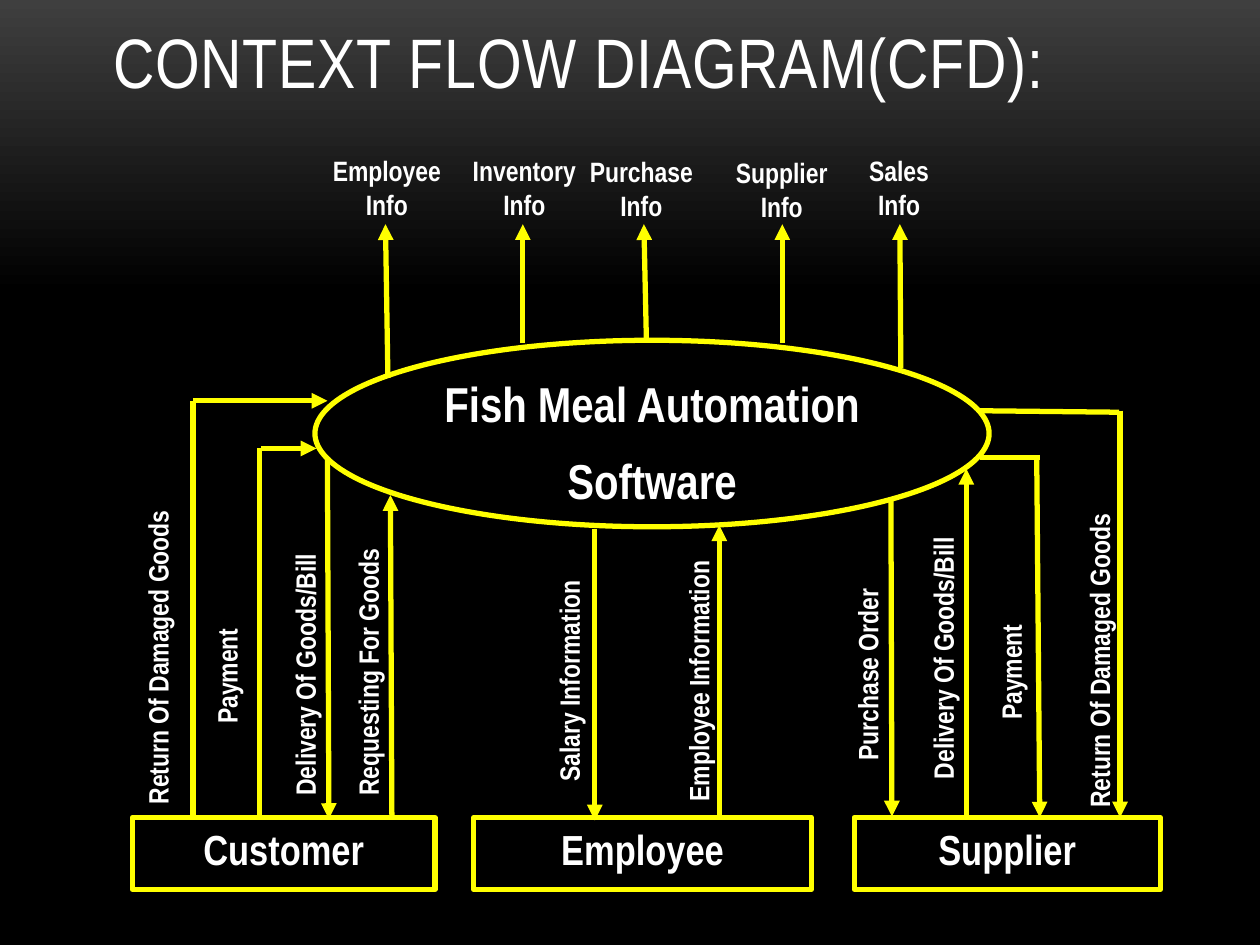
from lxml import etree
from pptx import Presentation
from pptx.dml.color import RGBColor
from pptx.enum.shapes import MSO_CONNECTOR, MSO_SHAPE
from pptx.enum.text import MSO_ANCHOR, MSO_AUTO_SIZE, PP_ALIGN
from pptx.oxml.ns import qn
from pptx.util import Cm, Pt

WHITE = RGBColor(0xFF, 0xFF, 0xFF)
YELLOW = RGBColor(0xFF, 0xFF, 0x00)
GREY = RGBColor(0x3F, 0x3F, 0x3F)
BLACK = RGBColor(0x00, 0x00, 0x00)
FONT = "Arial Narrow"
STRAIGHT = MSO_CONNECTOR.STRAIGHT
OVAL, RECTANGLE = MSO_SHAPE.OVAL, MSO_SHAPE.RECTANGLE
TOP, BOTTOM = MSO_ANCHOR.TOP, MSO_ANCHOR.BOTTOM
LEFT, CENTER = PP_ALIGN.LEFT, PP_ALIGN.CENTER
GROW = MSO_AUTO_SIZE.SHAPE_TO_FIT_TEXT

deck = Presentation()
deck.slide_width, deck.slide_height = Cm(25.4), Cm(19.05)
page = deck.slides.add_slide(deck.slide_layouts[6])

# Background fading from grey to black
backdrop = page.background.fill
backdrop.gradient()
backdrop.gradient_angle = 270
for stop, position, color in zip(backdrop.gradient_stops, (0, 0.31), (GREY, BLACK)):
    stop.position = position
    stop.color.rgb = color


def write(box, text, size, bold=True, align=CENTER, anchor=TOP, after=0):
    frame = box.text_frame
    frame.text = text
    frame.word_wrap = True
    frame.vertical_anchor = anchor
    for para in frame.paragraphs:
        para.alignment = align
        para.space_after = Pt(after)
        for span in para.runs:
            span.font.name = FONT
            span.font.size = Pt(size)
            span.font.bold = bold
            span.font.color.rgb = WHITE


def add_label(left, top, width, height, text):
    box = page.shapes.add_textbox(Cm(left), Cm(top), Cm(width), Cm(height))
    write(box, text, 16)
    box.text_frame.auto_size = GROW
    return box


# Title
title = page.shapes.add_textbox(Cm(2.03), Cm(-0.43), Cm(22.02), Cm(2.62))
write(title, "CONTEXT FLOW DIAGRAM(CFD):", 40, bold=False, align=LEFT, anchor=BOTTOM)
title_span = title.text_frame.paragraphs[0].runs[0]
title_span._r.get_or_add_rPr().set("spc", "50")

# Central system and the three outside parties
ENTITY_TOP, ENTITY_HEIGHT = 16.48, 1.45
nodes = [
    (OVAL, 6.35, 6.86, 13.59, 3.76, "Fish Meal Automation\nSoftware", 28),
    (RECTANGLE, 2.67, ENTITY_TOP, 6.1, ENTITY_HEIGHT, "Customer", 24),
    (RECTANGLE, 9.55, ENTITY_TOP, 6.81, ENTITY_HEIGHT, "Employee", 24),
    (RECTANGLE, 17.22, ENTITY_TOP, 6.17, ENTITY_HEIGHT, "Supplier", 24),
]
for kind, left, top, width, height, text, size in nodes:
    node = page.shapes.add_shape(kind, Cm(left), Cm(top), Cm(width), Cm(height))
    node.shadow.inherit = False
    node.fill.background()
    node.line.color.rgb = YELLOW
    node.line.width = Pt(3)
    write(node, text, size, after=10)

# Upright flow labels: centre x, centre y, length
LABEL_HEIGHT = 0.94
flow_labels = [
    (3.18, 13.25, 6.81, "Return Of Damaged Goods"),
    (4.57, 13.63, 2.79, "Payment"),
    (6.15, 13.6, 5.94, "Delivery Of Goods/Bill"),
    (7.42, 13.55, 5.74, "Requesting For Goods"),
    (11.47, 13.73, 5, "Salary Information"),
    (14.08, 13.73, 5.82, "Employee Information"),
    (17.49, 13.6, 5.26, "Purchase Order"),
    (19.01, 13.27, 6.48, "Delivery Of Goods/Bill"),
    (20.38, 13.55, 2.62, "Payment"),
    (22.16, 13.32, 7.19, "Return Of Damaged Goods"),
]
for x, y, length, text in flow_labels:
    label = add_label(x - length / 2, y - LABEL_HEIGHT / 2, length, LABEL_HEIGHT, text)
    label.rotation = 270

# Output labels: left, top, width
output_labels = [
    (6.38, 2.97, 2.84, "Employee"),
    (9.25, 2.97, 2.64, "Inventory"),
    (11.43, 3, 3, "Purchase"),
    (14.45, 3.02, 2.62, "Supplier"),
    (16.97, 2.97, 2.31, "Sales"),
]
for left, top, width, subject in output_labels:
    add_label(left, top, width, 1.63, subject + "\nInfo")

# Lines without a head: the first legs of the bent flows
plain_lines = [
    (5.23, 9.04, 5.23, ENTITY_TOP),
    (3.89, 8.08, 3.89, ENTITY_TOP),
    (20.96, 9.22, 19.76, 9.22),
    (22.56, 8.31, 19.76, 8.28),
]
# Arrows between the parties and the system
arrows = [
    (5.26, 9.04, 6.38, 9.04),
    (3.89, 8.08, 6.6, 8.08),
    (6.6, 9.22, 6.63, 16.51),
    (7.9, 16.46, 7.87, 9.98),
    (11.99, 10.67, 11.99, 16.54),
    (14.5, ENTITY_TOP, 14.5, 10.59),
    (17.96, 10.08, 17.98, 16.46),
    (19.48, 16.51, 19.48, 9.45),
    (20.9, 9.22, 20.96, ENTITY_TOP),
    (22.58, 8.28, 22.58, ENTITY_TOP),
]
# Output arrows all end at the same height
OUTPUT_TIP = 4.52
for start_x, start_y, tip_x in [(7.82, 7.62, 7.77), (10.54, 6.91, 10.54),
                                (13.03, 6.83, 12.98), (15.77, 6.91, 15.77),
                                (18.16, 7.42, 18.14)]:
    arrows.append((start_x, start_y, tip_x, OUTPUT_TIP))

for lines, has_head in ((plain_lines, False), (arrows, True)):
    for ends in lines:
        line = page.shapes.add_connector(STRAIGHT, *[Cm(value) for value in ends])
        line.line.color.rgb = YELLOW
        line.line.width = Pt(3)
        if has_head:
            outline = line.line._get_or_add_ln()
            etree.SubElement(outline, qn("a:tailEnd"), type="triangle")
        etree.SubElement(line._element.spPr, qn("a:effectLst"))

deck.save("out.pptx")
